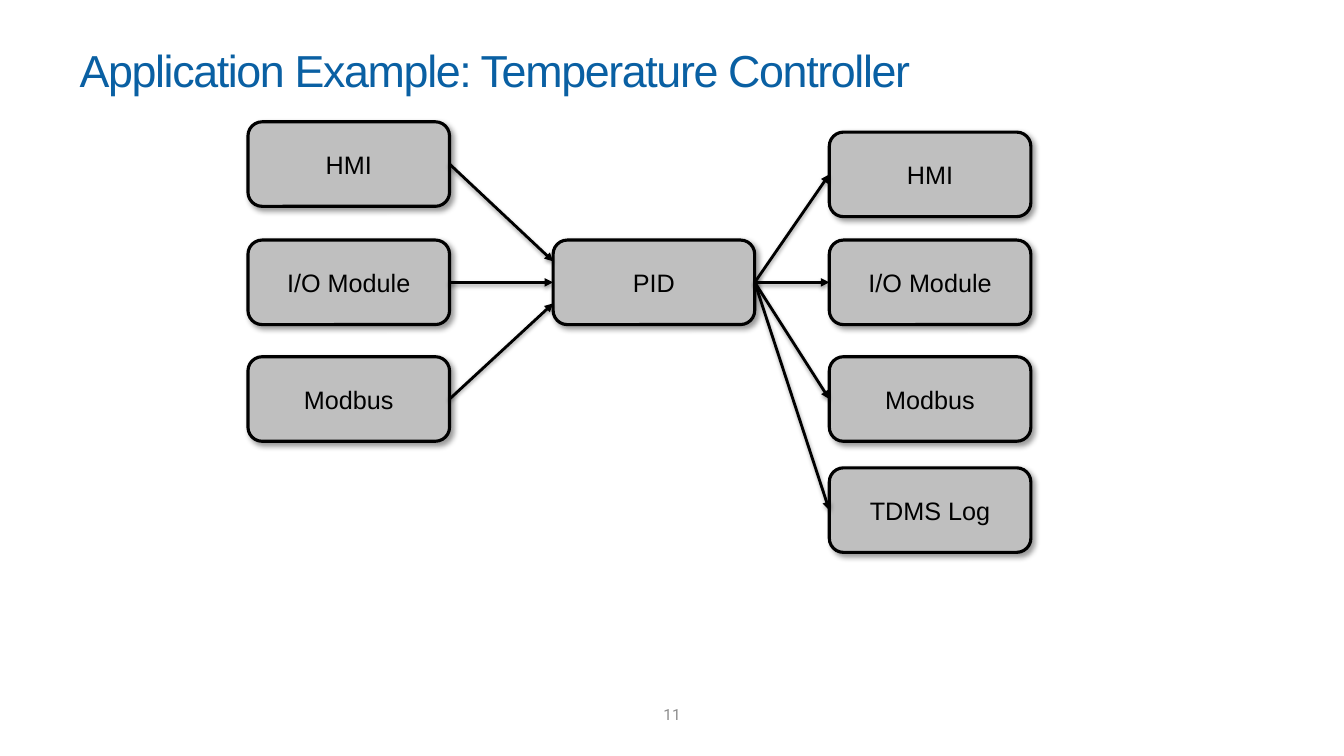
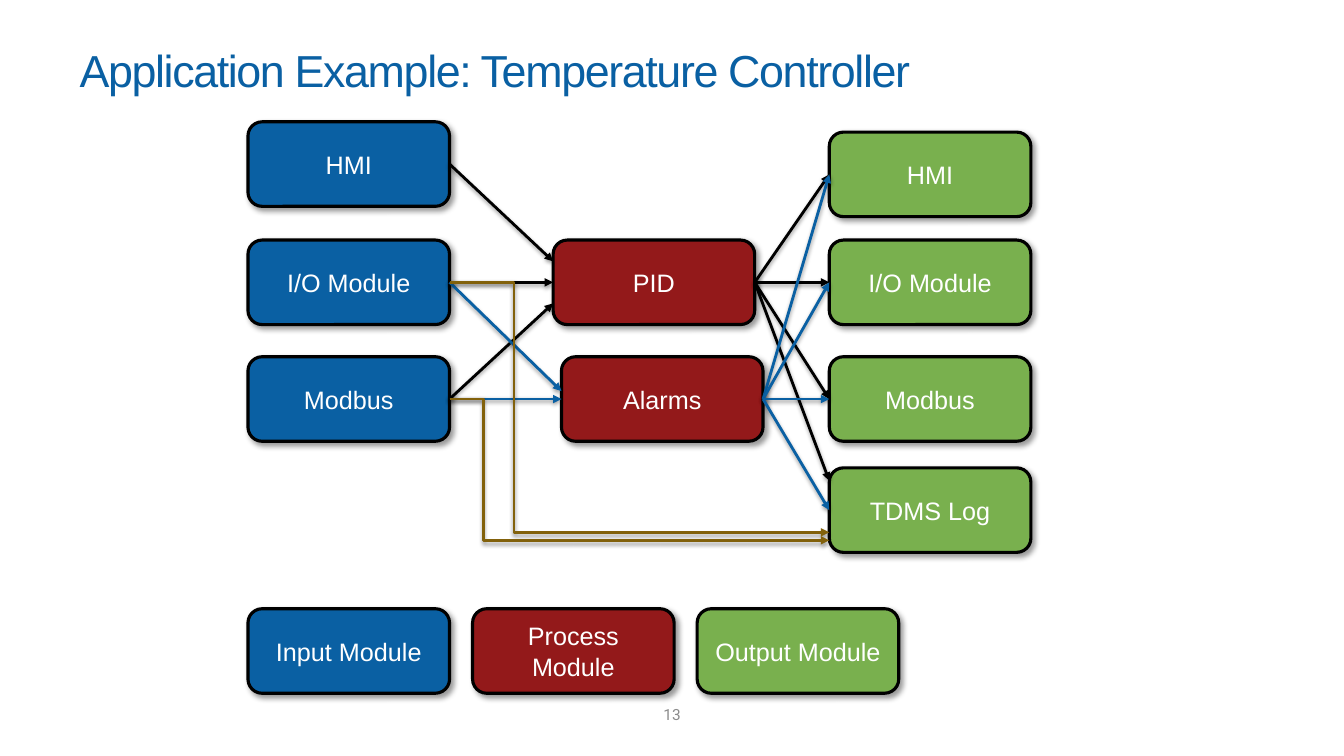
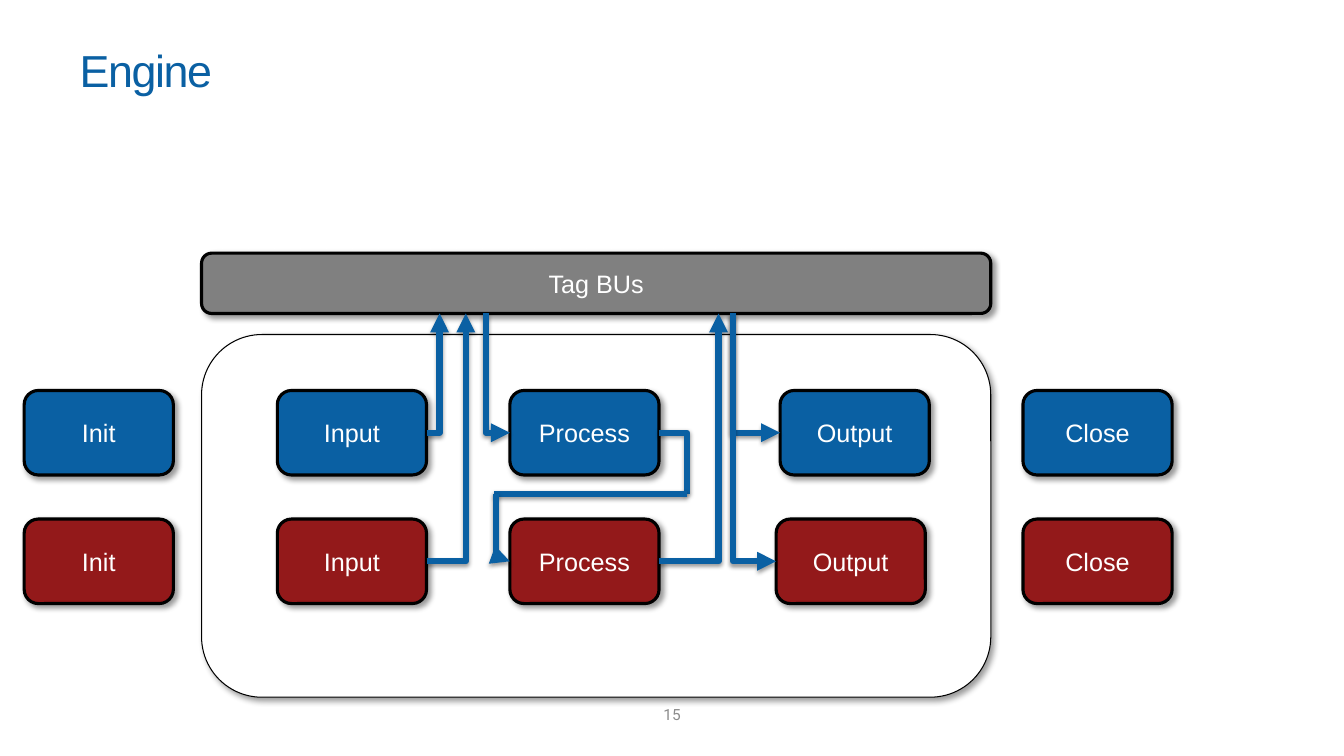
from pptx import Presentation
from pptx.dml.color import RGBColor
from pptx.enum.shapes import MSO_CONNECTOR, MSO_SHAPE
from pptx.enum.text import MSO_ANCHOR, MSO_AUTO_SIZE, PP_ALIGN
from pptx.oxml import parse_xml
from pptx.oxml.ns import nsdecls, qn
from pptx.oxml.xmlchemy import OxmlElement
from pptx.util import Cm, Pt

BLUE = RGBColor(0x0A, 0x60, 0xA3)
RED = RGBColor(0x93, 0x19, 0x1A)
GREEN = RGBColor(0x79, 0xB0, 0x4E)
BROWN = RGBColor(0x82, 0x61, 0x0B)
SILVER = RGBColor(0xBF, 0xBF, 0xBF)
GREY = RGBColor(0x80, 0x80, 0x80)
NUMBER_GREY = RGBColor(0x8C, 0x8C, 0x8C)
BLACK = RGBColor(0, 0, 0)
WHITE = RGBColor(0xFF, 0xFF, 0xFF)

BOX_WIDTH, BOX_HEIGHT = 5.08, 2.13
STEP_WIDTH = 3.76
INPUT_LEFT, PROCESS_LEFT, OUTPUT_LEFT = 6.25, 13.94, 20.9
IO_TOP, MODBUS_TOP = 6.05, 8.99
INPUTS = [("HMI", 3.07), ("I/O Module", IO_TOP), ("Modbus", MODBUS_TOP)]
OUTPUTS = [("HMI", 3.33), ("I/O Module", IO_TOP), ("Modbus", MODBUS_TOP),
           ("TDMS Log", 11.79)]
CONTROLLER_TITLE = "Application Example: Temperature Controller"


def write(frame, text, size=18, font="Arial", color=WHITE,
          align=PP_ALIGN.CENTER, spacing=None):
    """Fill a text frame with one run; spacing is in points."""
    frame.word_wrap = True
    frame.auto_size = MSO_AUTO_SIZE.NONE
    frame.vertical_anchor = MSO_ANCHOR.MIDDLE
    para = frame.paragraphs[0]
    para.alignment = align
    span = para.add_run()
    span.text = text
    span.font.size = Pt(size)
    span.font.name = font
    span.font.color.rgb = color
    if spacing is not None:
        span.font._element.set("spc", str(spacing * 100))


def cast_shadow(properties, alpha, blur, distance, angle):
    """Give shape properties a black outer shadow, in percent, points and degrees."""
    for effects in properties.findall(qn("a:effectLst")):
        properties.remove(effects)
    properties.append(parse_xml(
        f'<a:effectLst {nsdecls("a")}><a:outerShdw blurRad="{Pt(blur)}" '
        f'dist="{Pt(distance)}" dir="{angle * 60000}" algn="tl" rotWithShape="0">'
        f'<a:srgbClr val="000000"><a:alpha val="{alpha * 1000}"/></a:srgbClr>'
        '</a:outerShdw></a:effectLst>'))


class Slides:
    def __init__(self):
        self.deck = Presentation()
        self.deck.slide_width = Cm(33.87)
        self.deck.slide_height = Cm(19.05)
        self.page = None

    def start(self, title, number):
        self.page = self.deck.slides.add_slide(self.deck.slide_layouts[5])
        heading = self.page.shapes.title
        heading.left, heading.top = Cm(1.75), Cm(0.41)
        heading.width, heading.height = Cm(30.25), Cm(2.67)
        write(heading.text_frame, title, size=32, color=BLUE,
              align=PP_ALIGN.LEFT, spacing=-1)
        footer = self.page.shapes.add_textbox(
            Cm(16.28), Cm(17.63), Cm(1.32), Cm(0.76))
        write(footer.text_frame, str(number), size=11, font="Roboto",
              color=NUMBER_GREY)

    def box(self, text, left, top, fill, width=BOX_WIDTH, height=BOX_HEIGHT,
            color=WHITE, border=2.25):
        box = self.page.shapes.add_shape(
            MSO_SHAPE.ROUNDED_RECTANGLE, Cm(left), Cm(top), Cm(width), Cm(height))
        box.fill.solid()
        box.fill.fore_color.rgb = fill
        box.line.color.rgb = BLACK
        box.line.width = Pt(border)
        box.shadow.inherit = False
        cast_shadow(box._element.spPr, 40, 4, 3, 45)
        if text:
            write(box.text_frame, text, color=color)
        return box

    def line(self, start, end, color=BLACK, width=2, kind=MSO_CONNECTOR.STRAIGHT,
             arrow="tailEnd"):
        """Draw a connector; arrow is headEnd (at start), tailEnd or None."""
        line = self.page.shapes.add_connector(kind, *start, *end)
        line.line.color.rgb = color
        line.line.width = Pt(width)
        properties = line._element.spPr
        if arrow:
            tip = OxmlElement(f"a:{arrow}")
            tip.set("type", "triangle")
            properties.find(qn("a:ln")).append(tip)
        cast_shadow(properties, 38, 3.1, 1.6, 90)
        return line

    def link(self, source, target, color=BLACK, drop=0):
        """Arrow from a right side to a left side, drop cm below its middle."""
        line = self.line(right_of(source), left_of(target, drop), color)
        line.begin_connect(source, 3)
        if not drop:
            line.end_connect(target, 1)

    def step_line(self, start, end, turn, color):
        """Arrow with two corners; turn is the share of the width before the first."""
        line = self.line(start, end, color, kind=MSO_CONNECTOR.ELBOW)
        guide = OxmlElement("a:gd")
        guide.set("name", "adj1")
        guide.set("fmla", f"val {round(turn * 100000)}")
        line._element.spPr.prstGeom.get_or_add_avLst().append(guide)

    def corner(self, start, end, arrow="tailEnd"):
        """Blue line with one corner, level first and then upright."""
        line = self.line(start, end, BLUE, 4.5, MSO_CONNECTOR.ELBOW, arrow)
        line._element.spPr.prstGeom.set("prst", "bentConnector2")


def right_of(box):
    return box.left + box.width, box.top + box.height // 2


def left_of(box, drop=0):
    return box.left, box.top + box.height // 2 + Cm(drop)


def draw_controller(slides, number, fills, color, log_drop=0):
    """Draw inputs, PID and outputs; return the input and output boxes."""
    slides.start(CONTROLLER_TITLE, number)
    input_fill, process_fill, output_fill = fills
    inputs = [slides.box(text, INPUT_LEFT, top, input_fill, color=color)
              for text, top in INPUTS]
    pid = slides.box("PID", PROCESS_LEFT, IO_TOP, process_fill, color=color)
    outputs = [slides.box(text, OUTPUT_LEFT, top, output_fill, color=color)
               for text, top in OUTPUTS]
    for source, drop in zip(inputs, (-0.53, 0, 0.53)):
        slides.link(source, pid, drop=drop)
    for target, drop in zip(outputs, (0, 0, 0, log_drop)):
        slides.link(pid, target, drop=drop)
    return inputs, outputs


def draw_modules(slides):
    fills = (BLUE, RED, GREEN)
    inputs, outputs = draw_controller(slides, 13, fills, WHITE, log_drop=-0.74)
    for index, (kind, fill) in enumerate(zip(("Input", "Process", "Output"), fills)):
        slides.box(f"{kind} Module", INPUT_LEFT + index * 5.66, 15.34, fill)
    alarms = slides.box("Alarms", 14.15, MODBUS_TOP, RED)
    for target in outputs:
        slides.link(alarms, target, BLUE)
    _, io_module, modbus = inputs
    slides.link(io_module, alarms, BLUE, drop=-0.2)
    slides.link(modbus, alarms, BLUE)
    log = outputs[-1]
    slides.step_line(right_of(io_module), left_of(log, 0.56), 0.17, BROWN)
    slides.step_line(right_of(modbus), left_of(log, 0.76), 0.09, BROWN)


def draw_engine(slides):
    slides.start("Engine", 15)
    slides.box("", 5.08, 8.43, WHITE, width=19.89, height=9.14, border=0.75)
    bus = slides.box("Tag BUs", 5.08, 6.38, GREY, width=19.89, height=1.52)
    lanes = []
    for top, fill, output_left in ((9.84, BLUE, 19.66), (13.08, RED, 19.56)):
        steps = {"Init": 0.61, "Input": 6.99, "Process": 12.85,
                 "Output": output_left, "Close": 25.78}
        lanes.append({text: slides.box(text, left, top, fill, width=STEP_WIDTH)
                      for text, left in steps.items()})
    first, second = lanes
    bus_bottom = bus.top + bus.height
    for step, bus_x in ((first["Input"], 11.08), (second["Input"], 11.74),
                        (second["Process"], 18.11)):
        slides.corner(right_of(step), (Cm(bus_x), bus_bottom))
    for step, bus_x in ((first["Process"], 12.25), (first["Output"], 18.47),
                        (second["Output"], 18.47)):
        slides.corner(left_of(step), (Cm(bus_x), bus_bottom), arrow="headEnd")
    between = Cm(12.45)
    slides.corner(right_of(first["Process"]), (Cm(17.32), between), arrow=None)
    slides.line((Cm(17.32), between), (Cm(12.45), between), BLUE, 4.5, arrow=None)
    slides.corner(left_of(second["Process"]), (Cm(12.5), between), arrow="headEnd")


def main():
    slides = Slides()
    draw_controller(slides, 11, (SILVER, SILVER, SILVER), BLACK)
    draw_modules(slides)
    draw_engine(slides)
    slides.deck.save("out.pptx")


if __name__ == "__main__":
    main()
